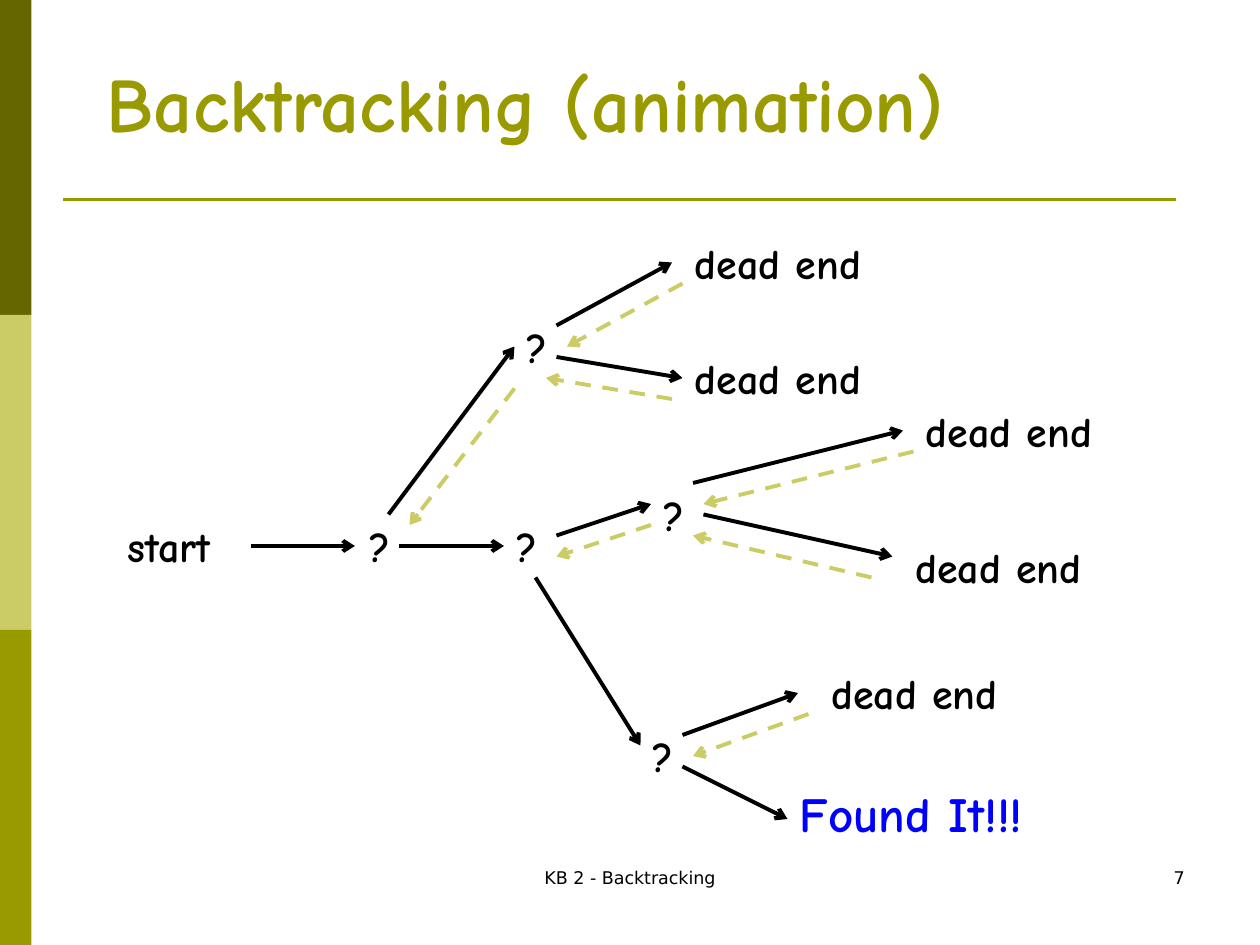
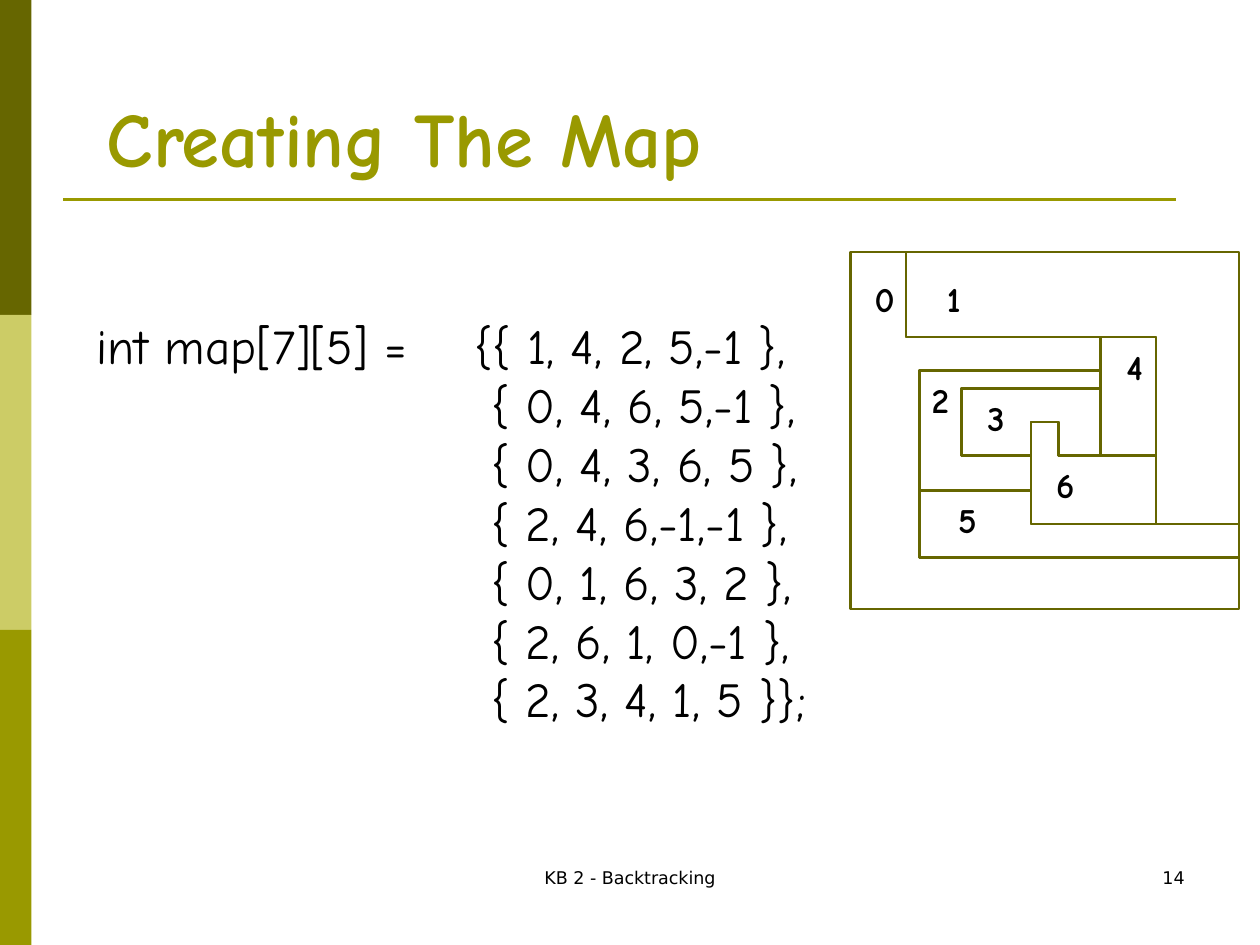
from lxml.etree import SubElement
from pptx import Presentation
from pptx.dml.color import RGBColor
from pptx.enum.dml import MSO_LINE
from pptx.enum.shapes import MSO_CONNECTOR, MSO_SHAPE
from pptx.enum.text import MSO_ANCHOR, PP_ALIGN
from pptx.oxml.ns import qn
from pptx.util import Emu, Pt

PX = 7620
DARK, OLIVE, PALE = "666600", "999900", "CCCC66"
BLACK, BLUE = "000000", "0000FF"
HAND, PLAIN = "Comic Neue", "DejaVu Sans"


def px(length):
    """Turn pixels (120 to the inch) into EMU."""
    return Emu(round(length * PX))


def rgb(code):
    """Turn a hex string into a colour."""
    return RGBColor.from_string(code)


class Deck:
    """Holds the shared style and the slide being drawn."""

    def __init__(self):
        """Start an empty 1200 x 900 px presentation."""
        self.prs = Presentation()
        self.prs.slide_width, self.prs.slide_height = px(1200), px(900)
        self.shapes = None

    def new_slide(self, title, number, title_top, title_height):
        """Add a slide with side bands, title rule, footer and title."""
        self.shapes = self.prs.slides.add_slide(self.prs.slide_layouts[6]).shapes
        for row, color in enumerate((DARK, PALE, OLIVE)):
            self.rect(0, row * 300, 30, 300, fill=color)
        self.line((60, 190), (1120, 190), OLIVE, 1.5)
        self.text("KB 2 - Backtracking", 410, 820, 380, 60, 10, PLAIN,
                  bold=False, align=PP_ALIGN.CENTER)
        self.text(number, 860, 820, 280, 60, 10, PLAIN,
                  bold=False, align=PP_ALIGN.RIGHT)
        self.text(title, 90, title_top, 1020, title_height, 44,
                  color=OLIVE, anchor=MSO_ANCHOR.BOTTOM)

    def paint(self, shape, fill=None, outline=None):
        """Give a shape its fill and outline, without a shadow."""
        shape.shadow.inherit = False
        if fill:
            shape.fill.solid()
            shape.fill.fore_color.rgb = rgb(fill)
        else:
            shape.fill.background()
        if outline:
            shape.line.color.rgb = rgb(outline)
            shape.line.width = Pt(1.5)
        else:
            shape.line.fill.background()

    def rect(self, left, top, width, height, fill=None, outline=None):
        """Draw a rectangle."""
        shape = self.shapes.add_shape(MSO_SHAPE.RECTANGLE, px(left), px(top),
                                      px(width), px(height))
        self.paint(shape, fill, outline)

    def outline(self, points, close, color):
        """Draw an unfilled outline through the points."""
        start, *rest = [(px(x), px(y)) for x, y in points]
        builder = self.shapes.build_freeform(*start)
        builder.add_line_segments(rest, close=close)
        self.paint(builder.convert_to_shape(), outline=color)

    def line(self, start, end, color, width, dashed=False, arrow=False):
        """Draw a straight line, dashed or with an arrowhead if asked."""
        link = self.shapes.add_connector(MSO_CONNECTOR.STRAIGHT,
                                         *map(px, start + end))
        link.line.color.rgb = rgb(color)
        link.line.width = Pt(width)
        if dashed:
            link.line.dash_style = MSO_LINE.DASH
        properties = link._element.spPr
        if arrow:
            SubElement(properties.find(qn("a:ln")), qn("a:tailEnd"), type="arrow")
        SubElement(properties, qn("a:effectLst"))

    def text(self, content, left, top, width, height, size, font=HAND, color=BLACK,
             bold=True, align=PP_ALIGN.LEFT, anchor=MSO_ANCHOR.TOP):
        """Add a text box with one paragraph per line and return its frame."""
        frame = self.shapes.add_textbox(px(left), px(top),
                                        px(width), px(height)).text_frame
        frame.word_wrap = True
        frame.vertical_anchor = anchor
        for index, words in enumerate(content.split("\n")):
            paragraph = frame.add_paragraph() if index else frame.paragraphs[0]
            paragraph.alignment = align
            run = paragraph.add_run()
            run.text = words
            run.font.size, run.font.name, run.font.bold = Pt(size), font, bold
            run.font.color.rgb = rgb(color)
        return frame


def backtracking_slide(deck):
    """Draw the search tree with its forward and return arrows."""
    deck.new_slide("Backtracking (animation)", "7", 47, 100)
    nodes = {
        "start": [(110, 490)],
        "?": [(340, 490), (490, 300), (480, 490), (620, 460), (610, 690)],
        "dead end": [(650, 330), (650, 220), (860, 510), (870, 380), (780, 630)],
    }
    for label, places in nodes.items():
        for left, top in places:
            deck.text(label, left, top, 60 if label == "?" else 210, 60, 24)
    deck.text("Found It!!!", 750, 740, 310, 68, 28, color=BLUE)

    forward = [
        ((239, 520), (338, 520)), ((370, 490), (490, 330)),
        ((380, 520), (480, 520)), ((530, 310), (640, 250)),
        ((530, 340), (650, 360)), ((530, 510), (620, 480)),
        ((660, 460), (860, 410)), ((670, 490), (850, 530)),
        ((510, 550), (610, 710)), ((650, 700), (760, 660)),
        ((650, 730), (750, 780)),
    ]
    back = [
        ((650, 270), (540, 330)), ((640, 380), (520, 360)),
        ((490, 370), (390, 500)), ((870, 430), (670, 480)),
        ((830, 550), (660, 510)), ((620, 500), (530, 530)),
        ((770, 680), (660, 720)),
    ]
    for start, end in forward:
        deck.line(start, end, BLACK, 2.25, arrow=True)
    for start, end in back:
        deck.line(start, end, PALE, 2.25, dashed=True, arrow=True)


def map_point(column, row):
    """Place a point of the 28 x 21 map grid on the slide."""
    return 810 + round(column * 370 / 28), 240 + round(row * 340 / 21)


def map_slide(deck):
    """Draw the neighbour array and the map of seven regions."""
    deck.new_slide("Creating The Map", "14", 50, 130)
    neighbours = [
        "int map[7][5] =\t{{ 1, 4, 2, 5,-1 },",
        "{ 0, 4, 6, 5,-1 },",
        "{ 0, 4, 3, 6, 5 },",
        "{ 2, 4, 6,-1,-1 },",
        "{ 0, 1, 6, 3, 2 },",
        "{ 2, 6, 1, 0,-1 },",
        "{ 2, 3, 4, 1, 5 }};",
    ]
    array = deck.text("\n".join(neighbours), 80, 295, 770, 404, 28, bold=False)
    first, *others = [p._p.get_or_add_pPr() for p in array.paragraphs]
    stops = SubElement(first, qn("a:tabLst"))
    SubElement(stops, qn("a:tab"), pos=str(px(360)), algn="l")
    for row in others:
        row.set("marL", str(px(376)))
        row.set("indent", "0")

    regions = [
        [(4, 0), (4, 5), (22, 5), (22, 16), (28, 16), (28, 0)],
        [(13, 10), (15, 10), (15, 12), (18, 12), (18, 8), (8, 8), (8, 12), (13, 12)],
        [(18, 8), (18, 7), (5, 7), (5, 14), (13, 14), (13, 12), (8, 12), (8, 8)],
        [(4, 0), (4, 5), (18, 5), (18, 7), (5, 7), (5, 18), (28, 18), (28, 21),
         (0, 21), (0, 0)],
        [(28, 18), (28, 16), (13, 16), (13, 14), (5, 14), (5, 18)],
    ]
    for corners in regions:
        deck.outline([map_point(*corner) for corner in corners], True, DARK)
    region_six = [(22, 16), (13, 16), (13, 10), (15, 10), (15, 12), (22, 12)]
    deck.outline([map_point(*corner) for corner in region_six], False, DARK)
    left, top = map_point(18, 5)
    right, bottom = map_point(22, 12)
    deck.rect(left, top, right - left, bottom - top, outline=DARK)

    label_cells = [(0, 1), (5, 1), (4, 7), (8, 8), (18, 5), (6, 14), (13, 12)]
    for region, cell in enumerate(label_cells):
        left, top = map_point(*cell)
        deck.text(str(region), left + 6, top + 2, 53, 53, 20, align=PP_ALIGN.CENTER)


def main():
    """Build both slides and save them."""
    deck = Deck()
    backtracking_slide(deck)
    map_slide(deck)
    deck.prs.save("out.pptx")


if __name__ == "__main__":
    main()
